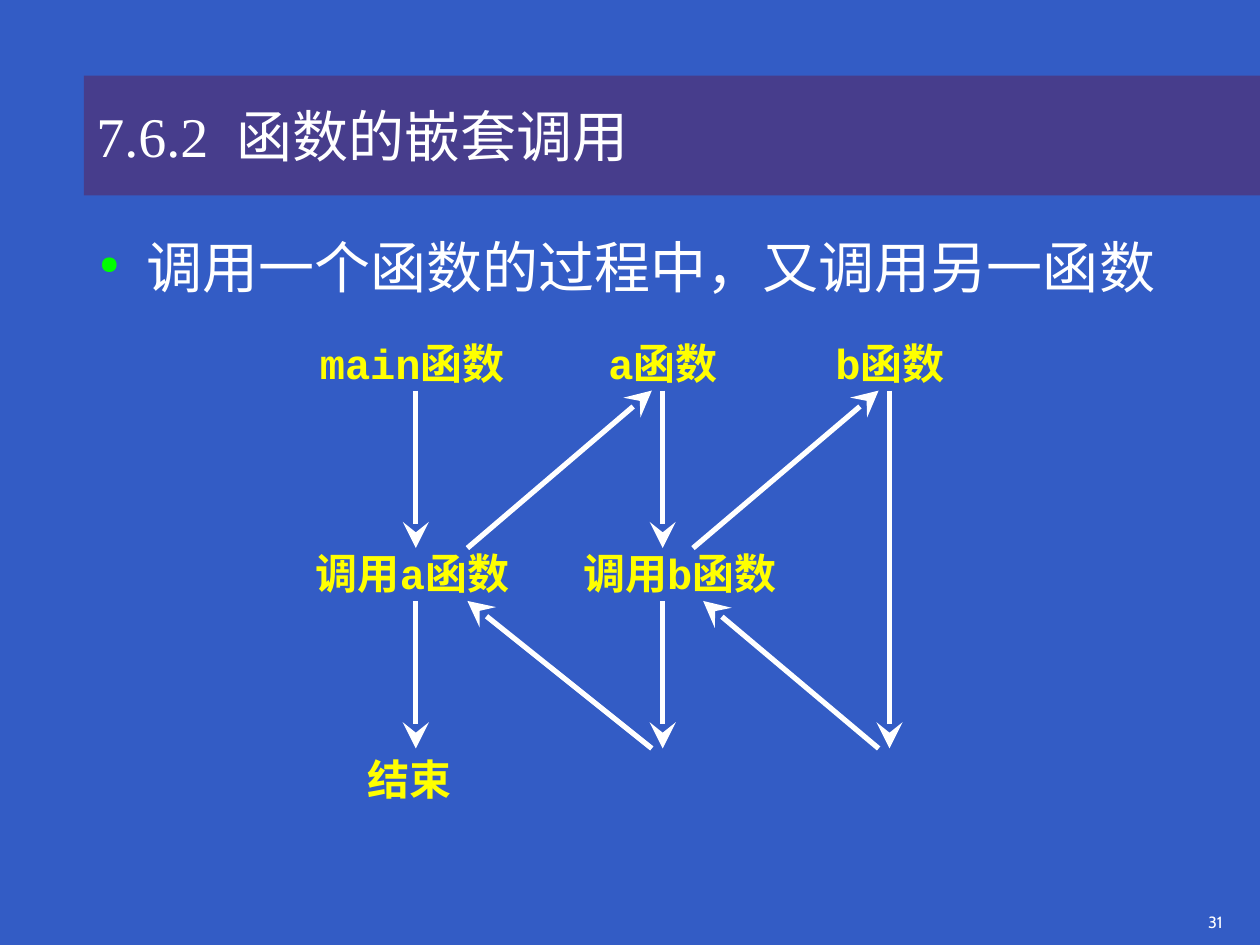
from lxml.etree import SubElement
from pptx import Presentation
from pptx.dml.color import RGBColor
from pptx.enum.shapes import MSO_CONNECTOR, MSO_SHAPE
from pptx.enum.text import MSO_ANCHOR, PP_ALIGN
from pptx.oxml.ns import qn
from pptx.util import Pt

BACKGROUND, BAND, WHITE, YELLOW, GREEN = "335CC5", "473D8C", "FFFFFF", "FFFF00", "00FF00"

TITLE = "7.6.2  函数的嵌套调用"
POINT = "调用一个函数的过程中，又调用另一函数"
PAGE_NUMBER = "31"

MAIN, A, B = 237.6, 378.7, 508.3
START, CALL, RESUME, END = 223.2, 313.2, 343.4, 427.7
CALL_A, CALL_B, RETURN_B = 267.1, 396, 401.8
GAP = 6.2

LABELS = [
    ("main函数", 175.7, 189.4, 128),
    ("a函数", 340.6, 189.4, 85),
    ("b函数", 470.2, 189.4, 85),
    ("调用a函数", 173.5, 309.6, 139),
    ("调用b函数", 326.2, 309.6, 139),
    ("结束", 203, 427, 65),
]
LABEL_HEIGHT = 36

ARROWS = [
    (MAIN, START, MAIN, CALL),
    (MAIN, RESUME, MAIN, END),
    (A, START, A, CALL),
    (A, RESUME, A, END),
    (B, START, B, END),
    (CALL_A, CALL, A - GAP, START),
    (CALL_B, CALL, B - GAP, START),
    (B - GAP, END, RETURN_B, RESUME),
    (A - GAP, END, CALL_A, RESUME),
]


def color(value):
    return RGBColor.from_string(value)


def write(shape, text, size, font, fill, bold=False):
    para = shape.text_frame.paragraphs[0]
    para.text = text
    para.alignment = PP_ALIGN.LEFT
    span = para.runs[0]
    span.font.size = Pt(size)
    span.font.name = font
    span.font.bold = bold
    span.font.color.rgb = color(fill)
    return para


def add_box(left, top, width, height, wrap=True):
    box = page.shapes.add_textbox(Pt(left), Pt(top), Pt(width), Pt(height))
    box.text_frame.word_wrap = wrap
    return box


def add_bullet(para, indent):
    properties = para._p.get_or_add_pPr()
    properties.set("marL", str(Pt(indent)))
    properties.set("indent", str(-Pt(indent)))
    bullet_color = SubElement(properties, qn("a:buClr"))
    SubElement(bullet_color, qn("a:srgbClr"), val=GREEN)
    SubElement(properties, qn("a:buSzPct"), val="45000")
    SubElement(properties, qn("a:buChar"), char="●")


def add_arrow(*ends):
    arrow = page.shapes.add_connector(MSO_CONNECTOR.STRAIGHT, *map(Pt, ends))
    arrow.line.color.rgb = color(WHITE)
    arrow.line.width = Pt(3)
    SubElement(arrow.line._get_or_add_ln(), qn("a:tailEnd"), type="stealth", w="lg", len="lg")
    SubElement(arrow._element.spPr, qn("a:effectLst"))


deck = Presentation()
deck.slide_width, deck.slide_height = Pt(720), Pt(540)
page = deck.slides.add_slide(deck.slide_layouts[6])
page.background.fill.solid()
page.background.fill.fore_color.rgb = color(BACKGROUND)

number = add_box(683.3, 519.8, 36.7, 20.2)
write(number, PAGE_NUMBER, 9.3, "Cabin", WHITE).line_spacing = 0.8

band = page.shapes.add_shape(MSO_SHAPE.RECTANGLE, Pt(48), Pt(43.2), Pt(672), Pt(68.4))
band.shadow.inherit = False
band.fill.solid()
band.fill.fore_color.rgb = color(BAND)
band.line.fill.background()
band.text_frame.word_wrap = True
band.text_frame.vertical_anchor = MSO_ANCHOR.MIDDLE
write(band, TITLE, 32, "Times New Roman", WHITE)

body = add_box(49.7, 129.6, 620.6, 376.6)
add_bullet(write(body, POINT, 32, "Times New Roman", WHITE), 27)

for ends in ARROWS:
    add_arrow(*ends)
for text, left, top, width in LABELS:
    label = add_box(left, top, width, LABEL_HEIGHT)
    write(label, text, 24, "Courier New", YELLOW, bold=True)

deck.save("out.pptx")
